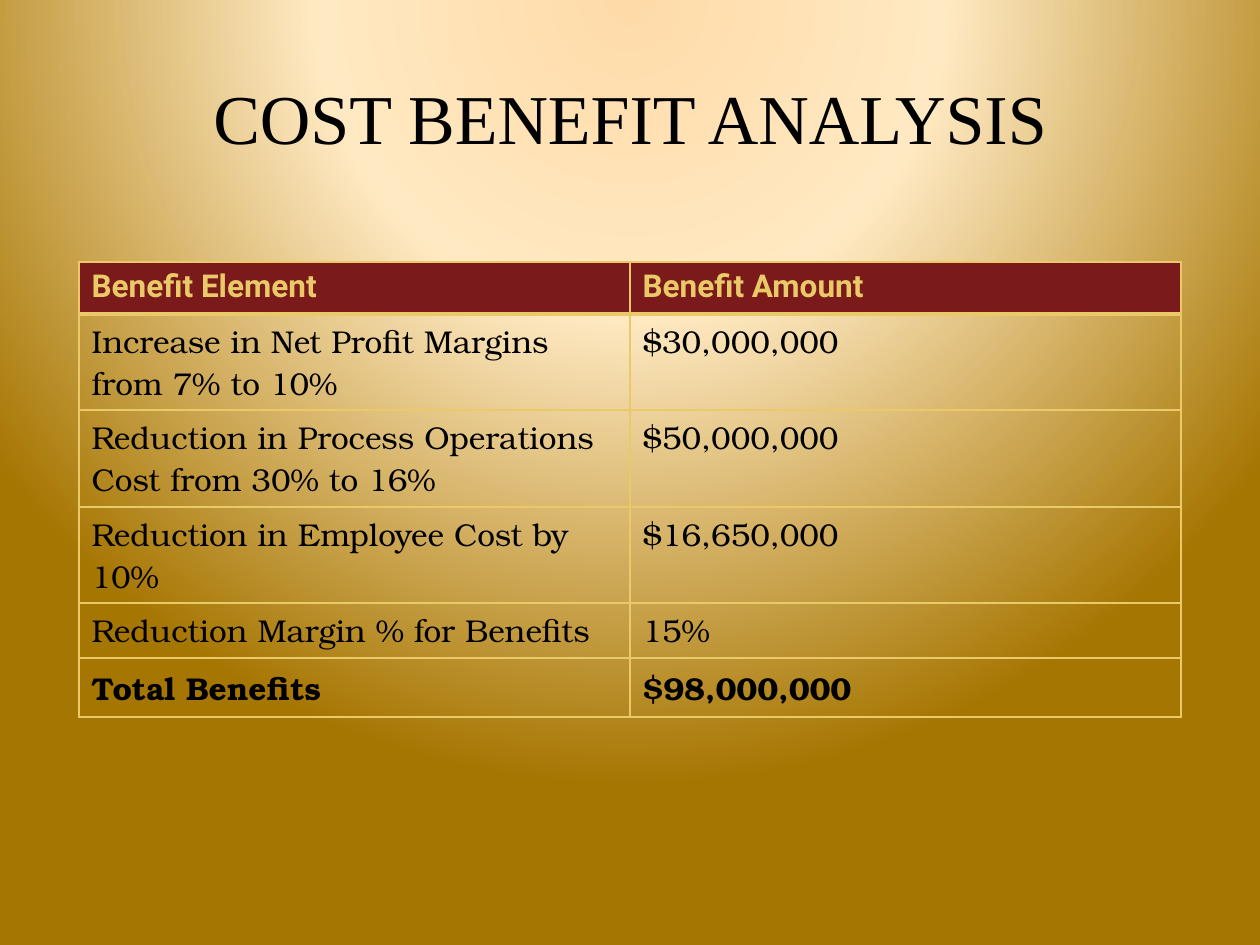
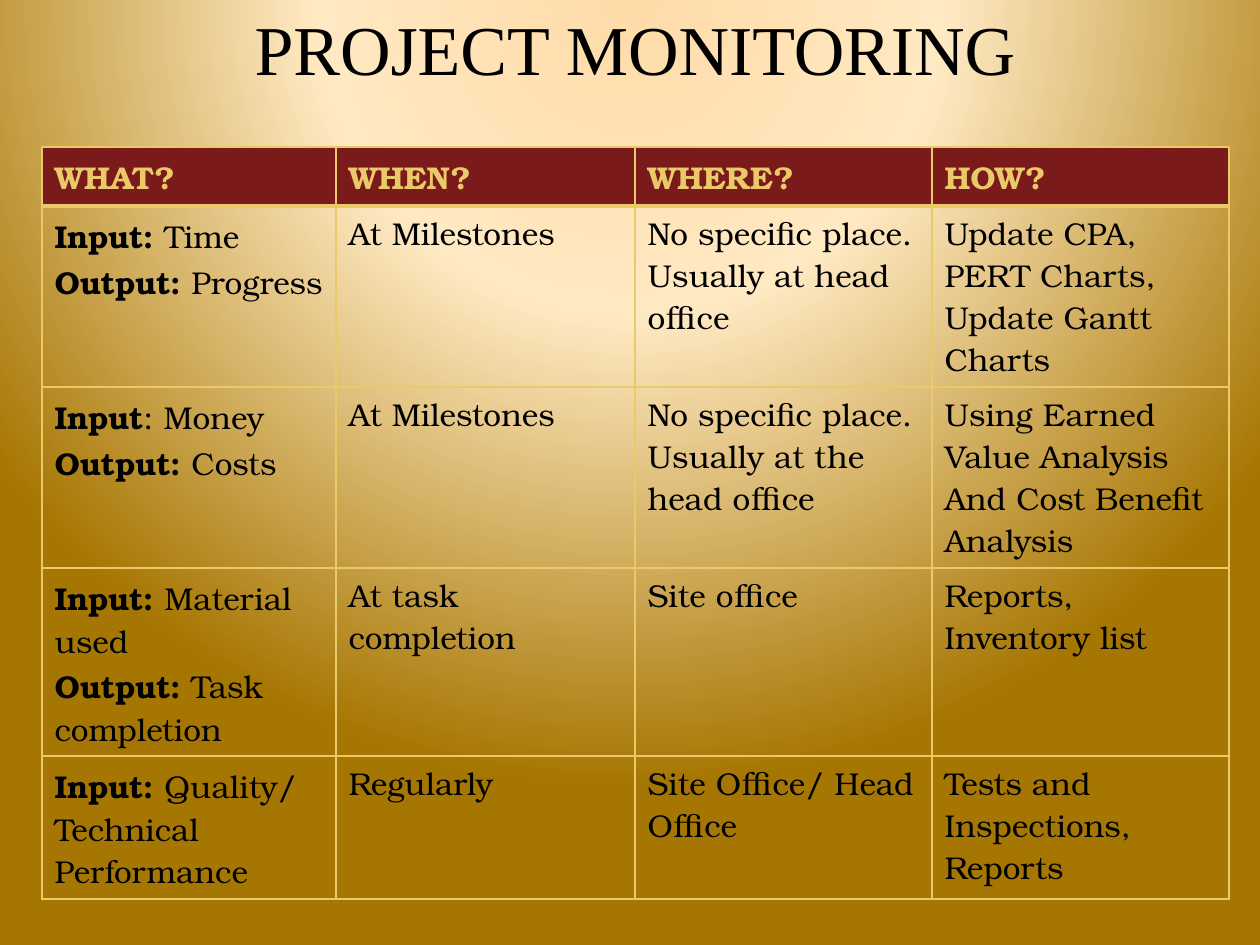
from pptx import Presentation
from pptx.dml.color import RGBColor
from pptx.enum.text import MSO_ANCHOR, PP_ALIGN
from pptx.oxml import parse_xml
from pptx.oxml.ns import nsdecls
from pptx.util import Emu, Pt

MIDDLE = MSO_ANCHOR.MIDDLE
CENTER = PP_ALIGN.CENTER

PX_PER_INCH = 126
BLACK, GOLD, MAROON = "000000", "EAC968", "7A1A1A"
TITLE_FONT, BODY_FONT, ACCENT_FONT = "Times New Roman", "TeX Gyre Bonum", "Roboto"
BACKGROUND_STOPS = [(0, "FFDBA9"), (40, "FFE9C2"), (100, "A67602")]

# Text between asterisks is bold; a line break starts a new paragraph.
SLIDES = [
    {
        "title": "COST BENEFIT ANALYSIS",
        "title_at": (79, 38),
        "table_at": (79, 262),
        "header_font": ACCENT_FONT,
        "widths": [551, 551],
        "heights": [52, 96, 97, 96, 55, 59],
        "rows": [
            ["*Benefit Element*", "*Benefit Amount*"],
            ["Increase in Net Profit Margins from 7% to 10%", "$30,000,000"],
            ["Reduction in Process Operations Cost from 30% to 16%", "$50,000,000"],
            ["Reduction in Employee Cost by 10%", "$16,650,000"],
            ["Reduction Margin % for Benefits", "15%"],
            ["*Total Benefits*", "*$98,000,000*"],
        ],
    },
    {
        "title": "PROJECT MONITORING",
        "title_at": (84, -32),
        "table_at": (42, 147),
        "header_font": BODY_FONT,
        "widths": [294, 299, 297, 297],
        "heights": [59, 181, 181, 188, 143],
        "rows": [
            ["*WHAT?*", "*WHEN?*", "*WHERE?*", "*HOW?*"],
            ["*Input: *Time\n*Output: *Progress", "At Milestones",
             "No specific place. Usually at head office",
             "Update CPA, PERT Charts, Update Gantt Charts"],
            ["*Input*: Money\n*Output: *Costs", "At Milestones",
             "No specific place. Usually at the head office",
             "Using Earned Value Analysis\nAnd Cost Benefit Analysis"],
            ["*Input: *Material used\n*Output: *Task completion",
             "At task completion", "Site office", "Reports, Inventory list"],
            ["*Input: *Quality/ Technical Performance", "Regularly",
             "Site Office/ Head Office", "Tests and Inspections, Reports"],
        ],
    },
]


def px(n):
    return Emu(round(n * 914400 / PX_PER_INCH))


def add_run(p, text, font, size, color, bold=False):
    r = p.add_run()
    r.text = text
    r.font.name = font
    r.font.size = Pt(size)
    r.font.bold = bold
    r.font.color.rgb = RGBColor.from_string(color)


prs = Presentation()
prs.slide_width, prs.slide_height = px(1260), px(945)

stops = "".join(
    f'<a:gs pos="{pos * 1000}"><a:srgbClr val="{color}"/></a:gs>'
    for pos, color in BACKGROUND_STOPS
)
background = (
    f'<p:bg {nsdecls("p", "a")}><p:bgPr><a:gradFill rotWithShape="1">'
    f'<a:gsLst>{stops}</a:gsLst><a:path path="circle">'
    '<a:fillToRect l="50000" t="-80000" r="50000" b="180000"/>'
    "</a:path></a:gradFill><a:effectLst/></p:bgPr></p:bg>"
)

for content in SLIDES:
    s = prs.slides.add_slide(prs.slide_layouts[6])
    s.element.cSld.insert(0, parse_xml(background))

    left, top = content["title_at"]
    tf = s.shapes.add_textbox(px(left), px(top), px(1102), px(158)).text_frame
    tf.word_wrap = True
    tf.vertical_anchor = MIDDLE
    p = tf.paragraphs[0]
    p.alignment = CENTER
    add_run(p, content["title"], TITLE_FONT, 40, BLACK)

    rows, widths, heights = content["rows"], content["widths"], content["heights"]
    left, top = content["table_at"]
    table = s.shapes.add_table(
        len(rows), len(widths), px(left), px(top), px(sum(widths)), px(sum(heights))
    ).table
    table.horz_banding = False
    for column, width in zip(table.columns, widths):
        column.width = px(width)
    for table_row, height in zip(table.rows, heights):
        table_row.height = px(height)

    for i, row in enumerate(rows):
        header = i == 0
        font = content["header_font"] if header else BODY_FONT
        color = GOLD if header else BLACK
        for j, text in enumerate(row):
            cell = table.cell(i, j)
            tcPr = cell._tc.get_or_add_tcPr()
            for side in "LRTB":
                # The rule under the header is three times as thick.
                weight = 3 if (i, side) in ((0, "B"), (1, "T")) else 1
                tcPr.append(parse_xml(
                    f'<a:ln{side} {nsdecls("a")} w="{Pt(weight)}"><a:solidFill>'
                    f'<a:srgbClr val="{GOLD}"/></a:solidFill></a:ln{side}>'
                ))
            if header:
                cell.fill.solid()
                cell.fill.fore_color.rgb = RGBColor.from_string(MAROON)
            else:
                cell.fill.background()

            tf = cell.text_frame
            for k, line in enumerate(text.split("\n")):
                p = tf.add_paragraph() if k else tf.paragraphs[0]
                for n, part in enumerate(line.split("*")):
                    if part:
                        add_run(p, part, font, 18, color, bold=n % 2 == 1)

prs.save("out.pptx")
